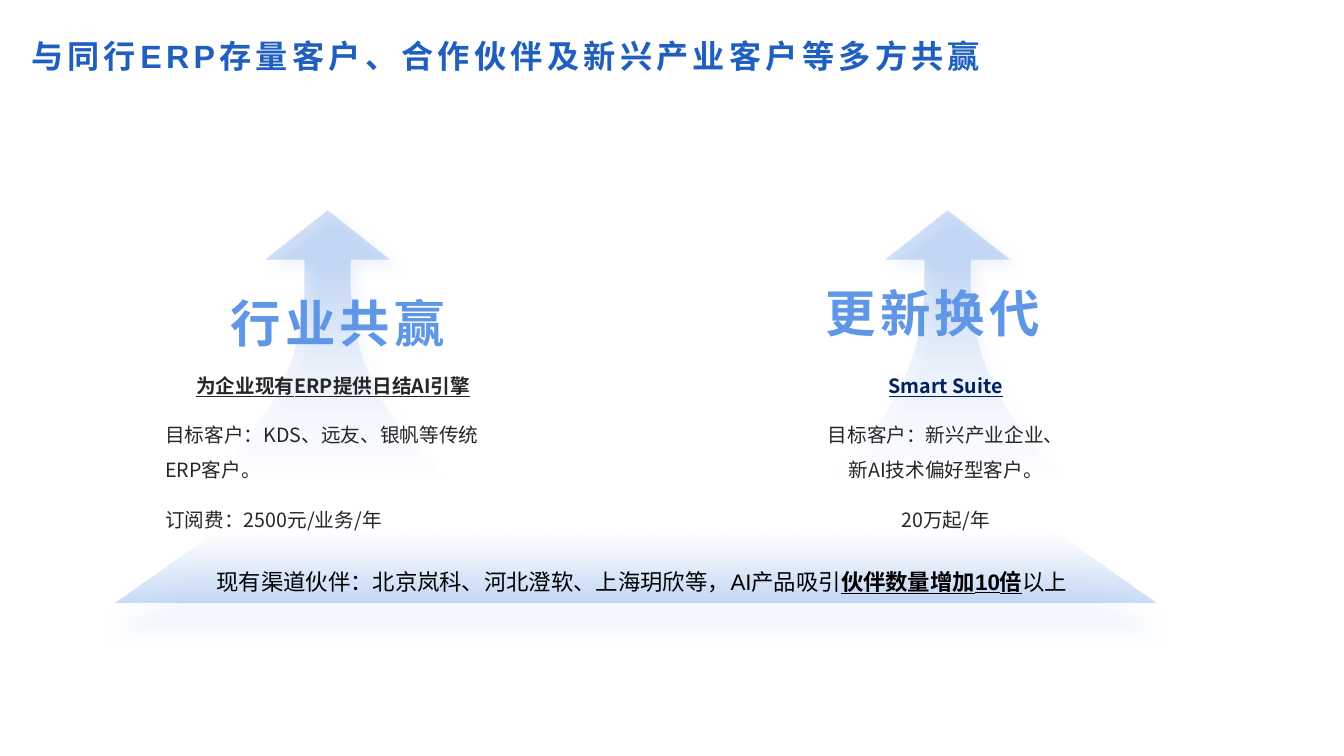
"""Build the slide on shared wins with ERP customers and partners."""
from dataclasses import dataclass

from lxml import etree
from pptx import Presentation
from pptx.dml.color import RGBColor
from pptx.enum.shapes import MSO_SHAPE
from pptx.enum.text import MSO_ANCHOR, PP_ALIGN
from pptx.oxml.ns import qn
from pptx.util import Inches, Pt

LEFT, CENTER = PP_ALIGN.LEFT, PP_ALIGN.CENTER
TOP, MIDDLE = MSO_ANCHOR.TOP, MSO_ANCHOR.MIDDLE
TRAPEZOID = MSO_SHAPE.TRAPEZOID
ARIAL, NOTO = "Arial", "Noto Sans CJK SC"
SKY, TITLE_BLUE, NAVY = "6096E6", "1F5FBF", "002060"
SHADOW_BLUE, INK, BLACK = "2169D3", "262626", "000000"
ARROW_TOP = 2.09
HALF_ARROW = [(0.62, 0.49), (0.23, 0.49), (0.23, 0.65), (0.22, 0.83), (0.25, 1.02),
              (0.35, 1.87), (0.94, 2.46), (1.28, 2.73)]
CURVE_STARTS = (2, 5, 9, 12)


@dataclass
class Run:
    text: str
    color: str
    size: float
    font: str = NOTO
    bold: bool = False
    underline: bool = False
    spacing: float = 0


@dataclass
class Para:
    runs: list[Run]
    align: PP_ALIGN = CENTER
    line: float = 1
    after: float = 0


@dataclass
class Box:
    x: float
    y: float
    w: float
    h: float
    paras: list[Para]
    anchor: MSO_ANCHOR = MIDDLE
    inset_x: float = 0
    inset_y: float = 0


@dataclass
class Shadow:
    color: str
    alpha: int
    blur: float
    distance: float
    angle: int


def rgb(value: str) -> RGBColor:
    return RGBColor.from_string(value)


def add_color(parent, value: str, alpha: int) -> None:
    clr = etree.SubElement(parent, qn("a:srgbClr"), val=value)
    etree.SubElement(clr, qn("a:alpha"), val=str(alpha * 1000))


def style(sp, stops: list[tuple[int, int]], shadow: Shadow) -> None:
    sp.fill.gradient()
    grad = sp.fill._xPr.find(qn("a:gradFill"))
    for child in list(grad):
        grad.remove(child)
    gs_list = etree.SubElement(grad, qn("a:gsLst"))
    for pos, alpha in stops:
        gs = etree.SubElement(gs_list, qn("a:gs"), pos=str(pos * 1000))
        add_color(gs, SKY, alpha)
    etree.SubElement(grad, qn("a:lin"), ang="5400000", scaled="0")
    sp.line.fill.background()
    sp.shadow.inherit = False
    effects = sp._element.spPr.find(qn("a:effectLst"))
    outer = etree.SubElement(
        effects, qn("a:outerShdw"), blurRad=str(Pt(shadow.blur)),
        dist=str(Pt(shadow.distance)), dir=str(shadow.angle * 60000),
        algn="t", rotWithShape="0")
    add_color(outer, shadow.color, shadow.alpha)


def bend(sp) -> None:
    segments = list(sp._element.spPr.iter(qn("a:lnTo")))
    for start in CURVE_STARTS:
        group = segments[start:start + 3]
        curve = etree.Element(qn("a:cubicBezTo"))
        group[0].addprevious(curve)
        for segment in group:
            curve.append(segment[0])
            segment.getparent().remove(segment)


def add_arrow(slide, center: float) -> None:
    outline = HALF_ARROW + [(-x, y) for x, y in reversed(HALF_ARROW)]
    points = [(Inches(center + x), Inches(ARROW_TOP + y)) for x, y in outline]
    builder = slide.shapes.build_freeform(Inches(center), Inches(ARROW_TOP))
    builder.add_line_segments(points, close=True)
    sp = builder.convert_to_shape()
    bend(sp)
    style(sp, [(19, 30), (55, 10), (96, 0)], Shadow(SHADOW_BLUE, 25, 9, 7, 45))


def add_platform(slide) -> None:
    sp = slide.shapes.add_shape(TRAPEZOID, Inches(1.14), Inches(5.28), Inches(10.33), Inches(0.7))
    sp.adjustments[0] = 1.424
    style(sp, [(0, 0), (100, 35)], Shadow(SKY, 25, 12, 21, 90))


def add_run(p, run: Run) -> None:
    r = p.add_run()
    r.text = run.text
    font = r.font
    font.size, font.name = Pt(run.size), run.font
    font.bold, font.underline = run.bold, run.underline
    font.color.rgb = rgb(run.color)
    r_pr = r._r.get_or_add_rPr()
    if run.spacing:
        r_pr.set("spc", str(int(run.spacing * 100)))
    etree.SubElement(r_pr, qn("a:ea"), typeface=NOTO)


def add_text(slide, box: Box) -> None:
    sp = slide.shapes.add_textbox(Inches(box.x), Inches(box.y), Inches(box.w), Inches(box.h))
    tf = sp.text_frame
    tf.word_wrap = True
    tf.vertical_anchor = box.anchor
    tf.margin_left = tf.margin_right = Inches(box.inset_x)
    tf.margin_top = tf.margin_bottom = Inches(box.inset_y)
    for i, para in enumerate(box.paras):
        p = tf.add_paragraph() if i else tf.paragraphs[0]
        p.alignment, p.line_spacing = para.align, para.line
        p.space_after = Pt(para.after)
        for run in para.runs:
            add_run(p, run)


def heading(x: float, y: float, text: str) -> Box:
    return Box(x, y, 3.06, 0.68, [Para([Run(text, SKY, 36, bold=True, spacing=3)])])


def details(x: float, w: float, lead: Run, lines: list[str], align: PP_ALIGN) -> Box:
    paras = [Para([lead], CENTER, 1.5, 10)]
    paras += [Para([Run(line, INK, 14)], align, 1.5, 10) for line in lines]
    return Box(x, 3.59, w, 0.46, paras, TOP)


TITLE = Box(0.21, 0.23, 11.74, 0.65, [Para([
    Run("与同行ERP存量客户、合作伙伴及新兴产业客户等多方共赢", TITLE_BLUE, 23, ARIAL, True, spacing=3),
], LEFT)], inset_x=0.1, inset_y=0.05)
PARTNERS = Box(1.95, 5.52, 8.83, 0.49, [Para([
    Run("现有渠道伙伴：北京岚科、河北澄软、上海玥欣等，AI产品吸引", BLACK, 16, ARIAL),
    Run("伙伴数量增加10倍", BLACK, 16, ARIAL, True, True),
    Run("以上", BLACK, 16, ARIAL),
])])
COLUMNS = [
    heading(1.82, 2.86, "行业共赢"),
    details(1.64, 3.33, Run("为企业现有ERP提供日结AI引擎", INK, 14, bold=True, underline=True),
            ["目标客户：KDS、远友、银帆等传统ERP客户。", "订阅费：2500元/业务/年"], LEFT),
    details(8.19, 2.38, Run("Smart Suite", NAVY, 14, bold=True, underline=True),
            ["目标客户：新兴产业企业、新AI技术偏好型客户。", "20万起/年"], CENTER),
    heading(7.72, 2.76, "更新换代"),
]


def main() -> None:
    prs = Presentation()
    prs.slide_width, prs.slide_height = Inches(13.33), Inches(7.5)
    slide = prs.slides.add_slide(prs.slide_layouts[6])
    add_text(slide, TITLE)
    add_platform(slide)
    add_text(slide, PARTNERS)
    for center in (3.25, 9.4):
        add_arrow(slide, center)
    for box in COLUMNS:
        add_text(slide, box)
    prs.save("out.pptx")


if __name__ == "__main__":
    main()
